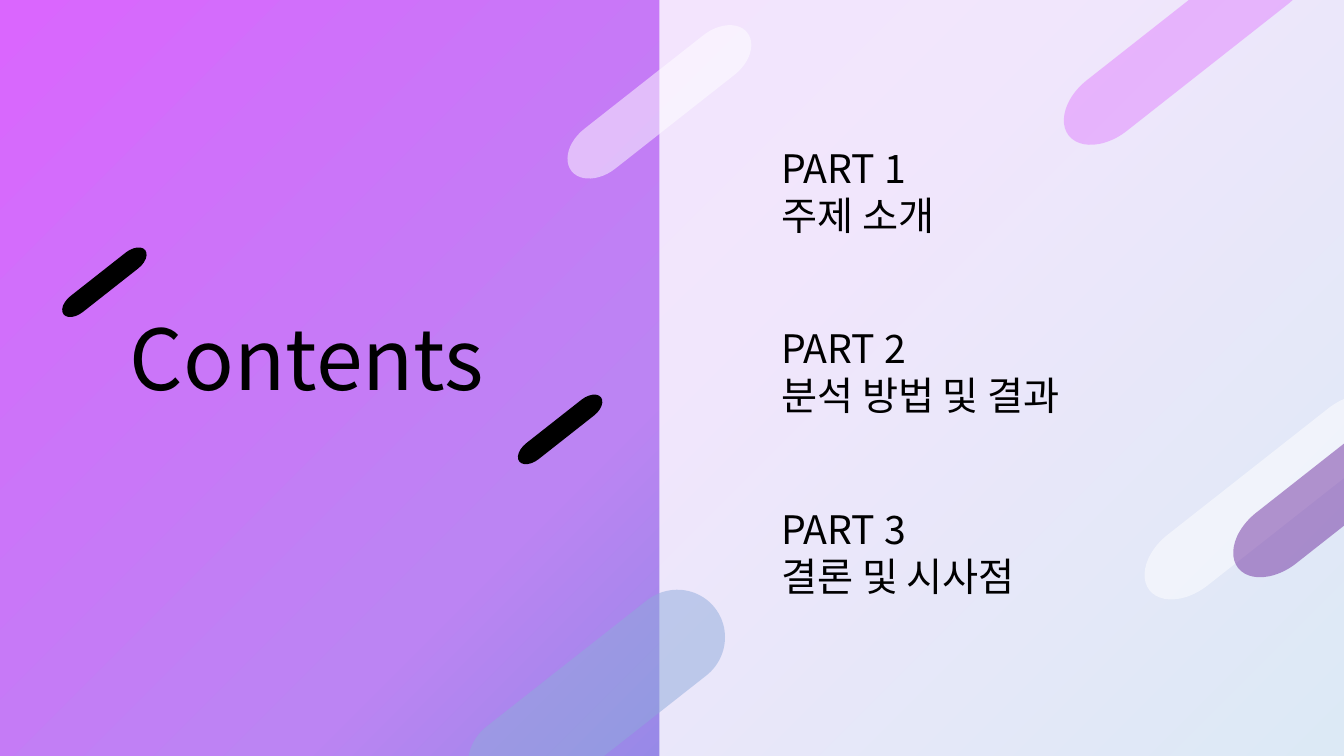
from copy import deepcopy
from dataclasses import dataclass

from lxml import etree
from pptx import Presentation
from pptx.dml.color import RGBColor
from pptx.enum.shapes import MSO_SHAPE
from pptx.enum.text import MSO_AUTO_SIZE
from pptx.oxml.ns import qn
from pptx.util import Inches, Pt

RECT = MSO_SHAPE.RECTANGLE
PILL = MSO_SHAPE.FLOWCHART_TERMINATOR
GROW = MSO_AUTO_SIZE.SHAPE_TO_FIT_TEXT


@dataclass(frozen=True)
class Theme:
    font: str = "Noto Sans CJK KR"
    title_size: int = 60
    part_size: int = 28
    ink: str = "000000"
    white: str = "FFFFFF"
    blue: str = "8FAADC"
    pink: str = "E082FE"
    purple: str = "7030A0"
    gradient: tuple = ((0, "DA66FE"), (0.5, "BC84F3"), (1, "5093D0"))
    gradient_angle: int = 315
    tilt: float = 141.8
    panel_alpha: int = 80
    pill_alpha: int = 50


THEME = Theme()
SLIDE = (0, 0, 13.33, 7.5)
LEFT_SIDE = (0, 0, 6.54, 7.5)
RIGHT_SIDE = (6.54, 0, 6.79, 7.5)
PARTS = [
    ("PART 1", "주제 소개"),
    ("PART 2", "분석 방법 및 결과"),
    ("PART 3", "결론 및 시사점"),
]
PILLS = [
    (5.43, 0.76, 2.22, 0.5, THEME.white),
    (4.42, 6.48, 2.99, 0.95, THEME.blue),
    (11.08, 4.61, 2.99, 0.64, THEME.white),
    (10.28, 0.1, 2.99, 0.64, THEME.pink),
    (11.96, 4.39, 2.99, 0.64, THEME.purple),
]


def add_background(s):
    fill = s.background.fill
    fill.gradient()
    fill.gradient_angle = THEME.gradient_angle
    stops = s.element.find(".//" + qn("a:gsLst"))
    stops.insert(1, deepcopy(stops[0]))
    for stop, (position, color) in zip(fill.gradient_stops, THEME.gradient):
        stop.position = position
        stop.color.rgb = RGBColor.from_string(color)


def add_block(s, kind, box, color, alpha=100, rotation=0):
    sp = s.shapes.add_shape(kind, *map(Inches, box))
    sp.rotation = rotation
    sp.shadow.inherit = False
    sp.line.fill.background()
    sp.fill.solid()
    sp.fill.fore_color.rgb = RGBColor.from_string(color)
    if alpha < 100:
        rgb = sp.element.spPr.find(qn("a:solidFill"))[0]
        etree.SubElement(rgb, qn("a:alpha"), val=str(alpha * 1000))


def add_text(s, box, lines, size):
    tf = s.shapes.add_textbox(*map(Inches, box)).text_frame
    tf.word_wrap = True
    tf.auto_size = GROW
    tf.text = "\n".join(lines)
    for p in tf.paragraphs:
        p.font.size = Pt(size)
        p.font.color.rgb = RGBColor.from_string(THEME.ink)
        p.font.name = THEME.font
        properties = p._p.pPr.find(qn("a:defRPr"))
        etree.SubElement(properties, qn("a:ea"), typeface=THEME.font)


def add_title(s, box):
    x, y, w, h = box
    add_text(s, (x + 1.19, y + 2.99, 4.74, 1.11), ["Contents"], THEME.title_size)
    for dx, dy in ((0.52, 2.7), (5.04, 4.16)):
        add_block(s, PILL, (x + dx, y + dy, 1.03, 0.2), THEME.ink, rotation=THEME.tilt)


def add_parts(s, box):
    x, y, w, h = box
    add_block(s, RECT, box, THEME.white, THEME.panel_alpha)
    for i, lines in enumerate(PARTS):
        add_text(s, (x + 1.11, y + 1.38 + i * 1.79, 3.91, 1.04), lines, THEME.part_size)


def add_pills(s, box):
    x, y, w, h = box
    for dx, dy, length, thickness, color in PILLS:
        add_block(s, PILL, (x + dx, y + dy, length, thickness), color,
                  THEME.pill_alpha, THEME.tilt)


def main():
    prs = Presentation()
    prs.slide_width, prs.slide_height = Inches(SLIDE[2]), Inches(SLIDE[3])
    s = prs.slides.add_slide(prs.slide_layouts[6])
    add_background(s)
    add_parts(s, RIGHT_SIDE)
    add_title(s, LEFT_SIDE)
    add_pills(s, SLIDE)
    prs.save("out.pptx")


if __name__ == "__main__":
    main()
